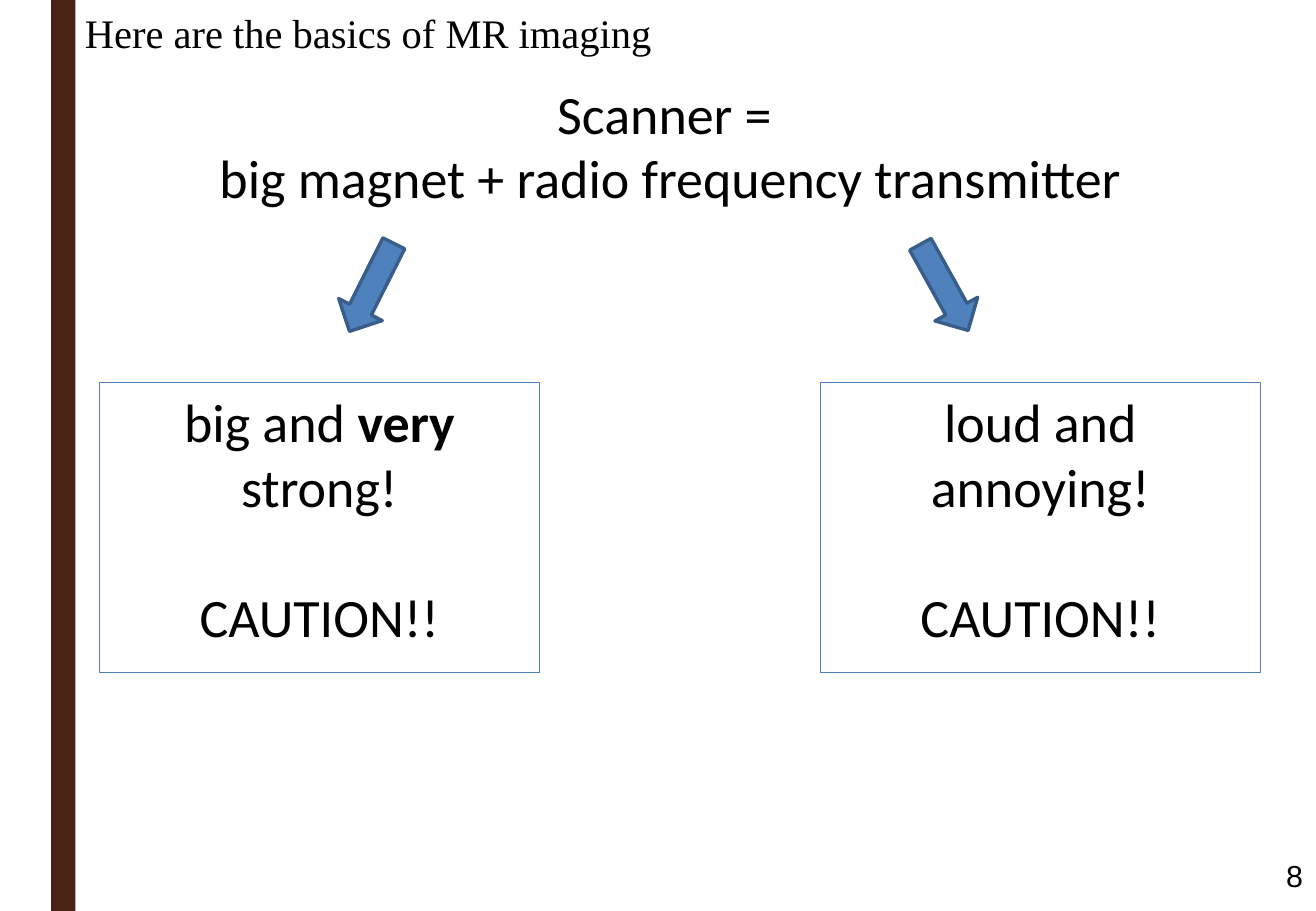
from dataclasses import dataclass
from pptx import Presentation
from pptx.dml.color import RGBColor as Rgb
from pptx.enum.shapes import MSO_SHAPE as Kind
from pptx.enum.text import MSO_ANCHOR as Anchor, MSO_AUTO_SIZE as Fit, PP_ALIGN as Align
from pptx.shapes.autoshape import Shape
from pptx.slide import Slide
from pptx.util import Cm, Pt


@dataclass(frozen=True)
class Theme:
    ink: Rgb = Rgb(0x00, 0x00, 0x00)
    bar: Rgb = Rgb(0x4A, 0x23, 0x18)
    blue: Rgb = Rgb(0x4F, 0x81, 0xBD)
    edge: Rgb = Rgb(0x38, 0x5D, 0x8A)
    title: float = 24
    main: float = 32
    small: float = 18
    gap: float = 38.5


@dataclass(frozen=True)
class Area:
    left: float
    top: float
    width: float
    height: float

    def place(self) -> tuple[Cm, Cm, Cm, Cm]:
        return Cm(self.left), Cm(self.top), Cm(self.width), Cm(self.height)


@dataclass(frozen=True)
class Run:
    text: str
    bold: bool = False


@dataclass(frozen=True)
class Branch:
    arrow: Area
    turn: float
    box: Area
    claim: tuple[Run, ...]


THEME = Theme()
BRANCHES = (
    Branch(Area(7.26, 4.98, 1.02, 2.06), 26.7, Area(2.08, 8, 9.2, 6.07),
           (Run("big and "), Run("very ", True), Run("strong!"))),
    Branch(Area(19.23, 4.98, 1.02, 2.06), 331, Area(17.15, 8, 9.2, 6.07),
           (Run("loud and annoying!"),)),
)


def write(shape: Shape, lines: list[tuple[Run, ...]], font: str, size: float,
          align: Align, anchor: Anchor = Anchor.TOP, gap: float = 0) -> None:
    frame = shape.text_frame
    frame.word_wrap = True
    frame.auto_size = Fit.NONE
    frame.vertical_anchor = anchor
    for at, line in enumerate(lines):
        para = frame.add_paragraph() if at else frame.paragraphs[0]
        para.alignment = align
        para.space_before = Pt(gap if at else 0)
        for part in line:
            run = para.add_run()
            run.text = part.text
            run.font.name = font
            run.font.size = Pt(size)
            run.font.bold = part.bold
            run.font.color.rgb = THEME.ink


def draw(slide: Slide, kind: Kind, area: Area, fill: Rgb | None = None,
         line: Rgb | None = None, width: float = 0) -> Shape:
    shape = slide.shapes.add_shape(kind, *area.place())
    shape.shadow.inherit = False
    if fill is None:
        shape.fill.background()
    else:
        shape.fill.solid()
        shape.fill.fore_color.rgb = fill
    if line is None:
        shape.line.fill.background()
    else:
        shape.line.color.rgb = line
        shape.line.width = Pt(width)
    return shape


def fork(slide: Slide, branch: Branch) -> None:
    arrow = draw(slide, Kind.DOWN_ARROW, branch.arrow, THEME.blue, THEME.edge, 2)
    arrow.rotation = branch.turn
    box = draw(slide, Kind.RECTANGLE, branch.box, line=THEME.blue, width=0.75)
    write(box, [branch.claim, (Run("CAUTION!!"),)], "Calibri", THEME.main,
          Align.CENTER, gap=THEME.gap)


def main() -> None:
    deck = Presentation()
    deck.slide_width, deck.slide_height = Cm(27.51), Cm(19.05)
    slide = deck.slides.add_slide(deck.slide_layouts[5])

    draw(slide, Kind.RECTANGLE, Area(1.07, 0, 0.51, 19.05), THEME.bar)

    title = slide.shapes.title
    title.left, title.top, title.width, title.height = Area(1.52, 0.03, 12.8, 1.45).place()
    write(title, [(Run("Here are the basics of MR imaging"),)],
          "Times New Roman", THEME.title, Align.LEFT)

    lead = slide.shapes.add_textbox(*Area(1.52, 1.55, 25, 3.05).place())
    write(lead, [(Run("Scanner = "),), (Run("big magnet + radio frequency transmitter"),)],
          "Calibri", THEME.main, Align.CENTER)

    for branch in BRANCHES:
        fork(slide, branch)

    page = slide.shapes.add_textbox(*Area(21.11, 18.19, 6.38, 0.63).place())
    write(page, [(Run("8"),)], "Arial", THEME.small, Align.RIGHT, Anchor.BOTTOM)

    deck.save("out.pptx")


if __name__ == "__main__":
    main()
